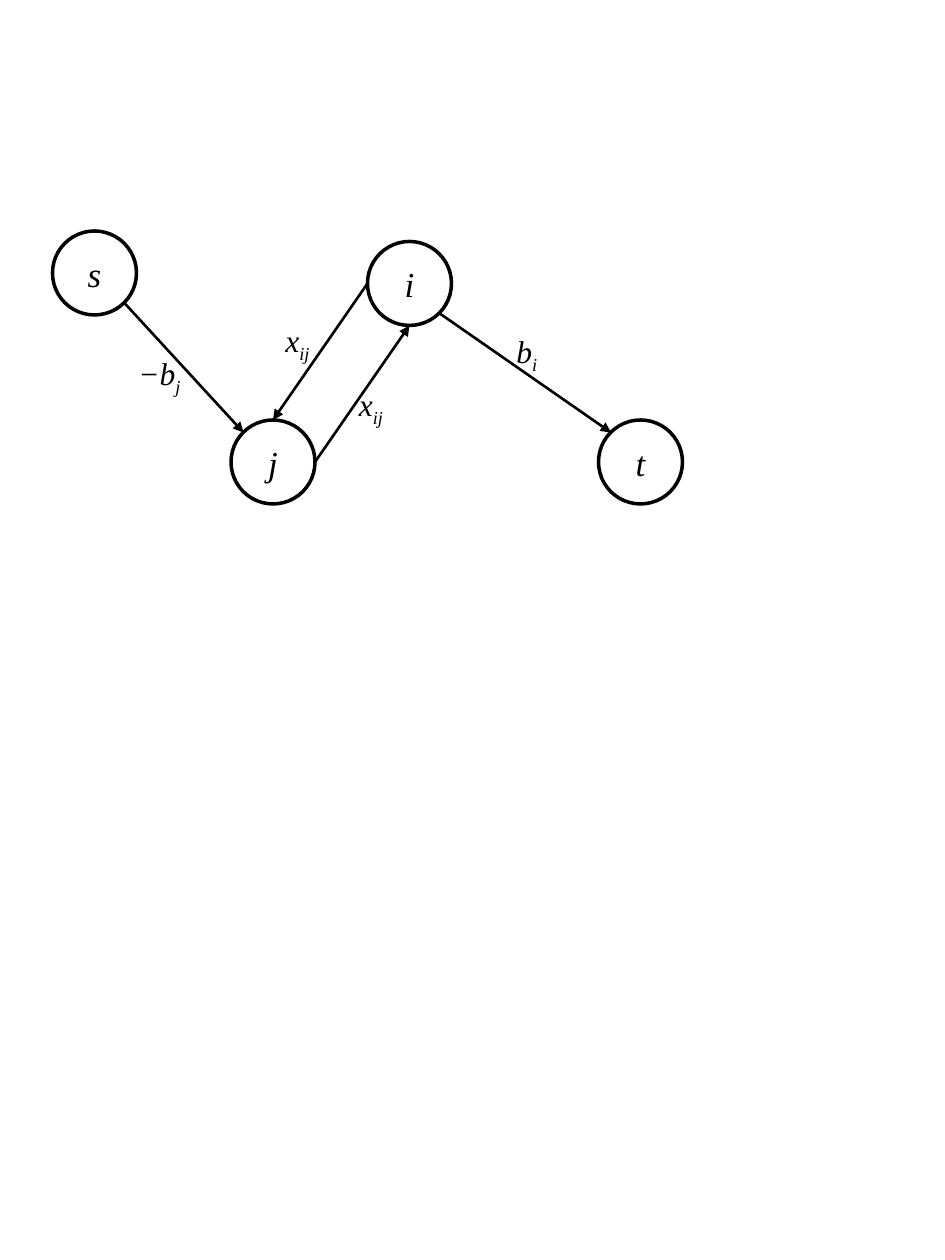
from math import cos, radians, sin

from lxml.etree import SubElement
from pptx import Presentation
from pptx.dml.color import RGBColor
from pptx.enum.shapes import MSO_CONNECTOR, MSO_SHAPE
from pptx.enum.text import MSO_ANCHOR, MSO_AUTO_SIZE, PP_ALIGN
from pptx.oxml.ns import qn
from pptx.util import Emu, Pt

BLACK = RGBColor(0x00, 0x00, 0x00)
FONT = "Times New Roman"
DIAMETER = 80

# Directions on a node's rim, in degrees clockwise from the right
RIGHT, BOTTOM_RIGHT, BOTTOM, LEFT, TOP_LEFT, TOP = 0, 45, 90, 180, 225, 270


def px(n):
    """Turn px (120 to the inch) into EMU."""
    return Emu(n * 7620)


def add_run(p, text, size=18, subscript=False):
    r = p.add_run()
    r.text = text
    r.font.name = FONT
    r.font.size = Pt(size)
    r.font.italic = True
    r.font.color.rgb = BLACK
    if subscript:
        r.font._element.set("baseline", "-25000")


class Graph:
    def __init__(self, slide):
        self.shapes = slide.shapes
        self.centers = {}

    def node(self, name, x, y):
        self.centers[name] = (x + DIAMETER // 2, y + DIAMETER // 2)
        sp = self.shapes.add_shape(
            MSO_SHAPE.OVAL, px(x), px(y), px(DIAMETER), px(DIAMETER))
        sp.shadow.inherit = False
        sp.fill.background()
        sp.line.color.rgb = BLACK
        sp.line.width = Pt(2)
        tf = sp.text_frame
        tf.word_wrap = False
        tf.vertical_anchor = MSO_ANCHOR.MIDDLE
        p = tf.paragraphs[0]
        p.alignment = PP_ALIGN.CENTER
        add_run(p, name, size=20)

    def rim(self, name, angle):
        x, y = self.centers[name]
        a = radians(angle)
        return (px(round(x + DIAMETER / 2 * cos(a))),
                px(round(y + DIAMETER / 2 * sin(a))))

    def arrow(self, start, start_angle, end, end_angle):
        sp = self.shapes.add_connector(
            MSO_CONNECTOR.STRAIGHT,
            *self.rim(start, start_angle), *self.rim(end, end_angle))
        sp.line.color.rgb = BLACK
        sp.line.width = Pt(1.5)
        SubElement(sp.line._get_or_add_ln(), qn("a:tailEnd"), type="triangle")
        SubElement(sp._element.spPr, qn("a:effectLst"))

    def label(self, text, index, x, y, width, wrap=False):
        sp = self.shapes.add_textbox(px(x), px(y), px(width), px(48))
        tf = sp.text_frame
        tf.word_wrap = wrap
        tf.auto_size = MSO_AUTO_SIZE.SHAPE_TO_FIT_TEXT
        p = tf.paragraphs[0]
        add_run(p, text)
        add_run(p, index, subscript=True)


def main():
    prs = Presentation()
    prs.slide_width, prs.slide_height = px(900), px(1200)
    graph = Graph(prs.slides.add_slide(prs.slide_layouts[6]))

    # Nodes
    graph.node("s", 50, 220)
    graph.node("t", 570, 400)
    graph.node("i", 350, 230)
    graph.node("j", 220, 400)

    # Arcs
    graph.arrow("i", LEFT, "j", TOP)
    graph.arrow("j", RIGHT, "i", BOTTOM)
    graph.arrow("i", BOTTOM_RIGHT, "t", TOP_LEFT)
    graph.arrow("s", BOTTOM_RIGHT, "j", TOP_LEFT)

    # Arc labels
    graph.label("x", "ij", 260, 300, 49)
    graph.label("x", "ij", 330, 361, 49)
    graph.label("b", "i", 480, 310, 46)
    graph.label("−b", "j", 120, 331, 70, wrap=True)

    prs.save("out.pptx")


if __name__ == "__main__":
    main()
